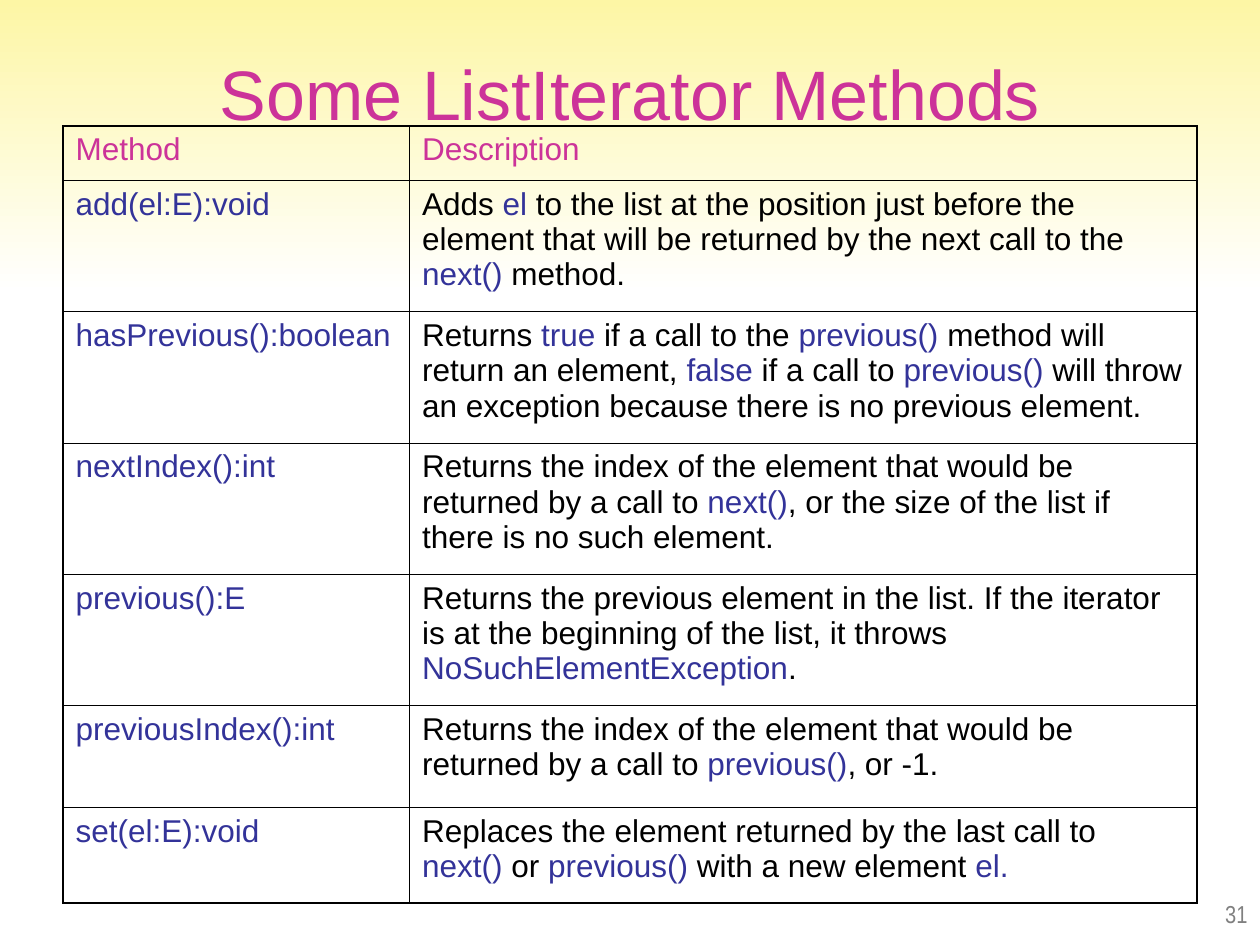
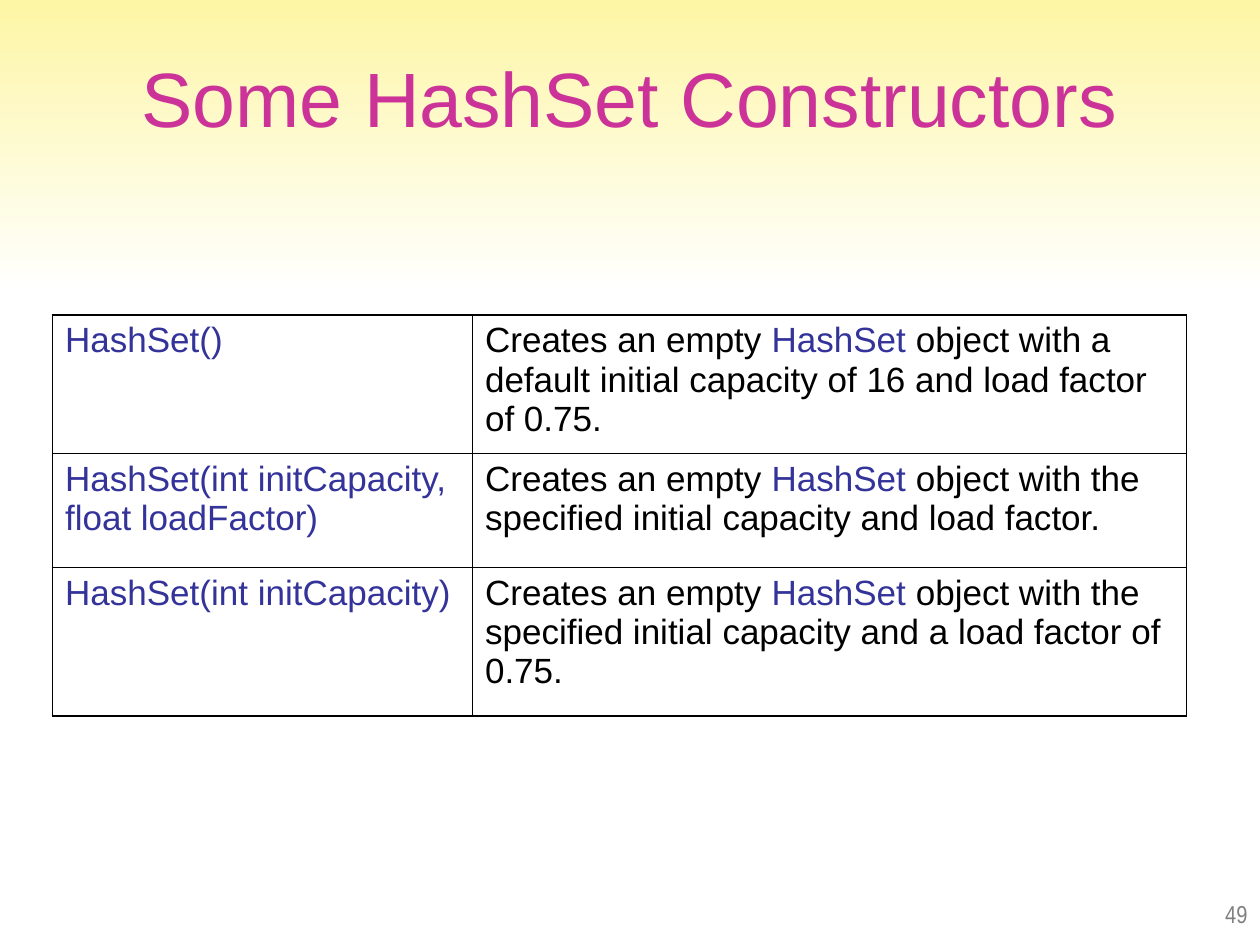
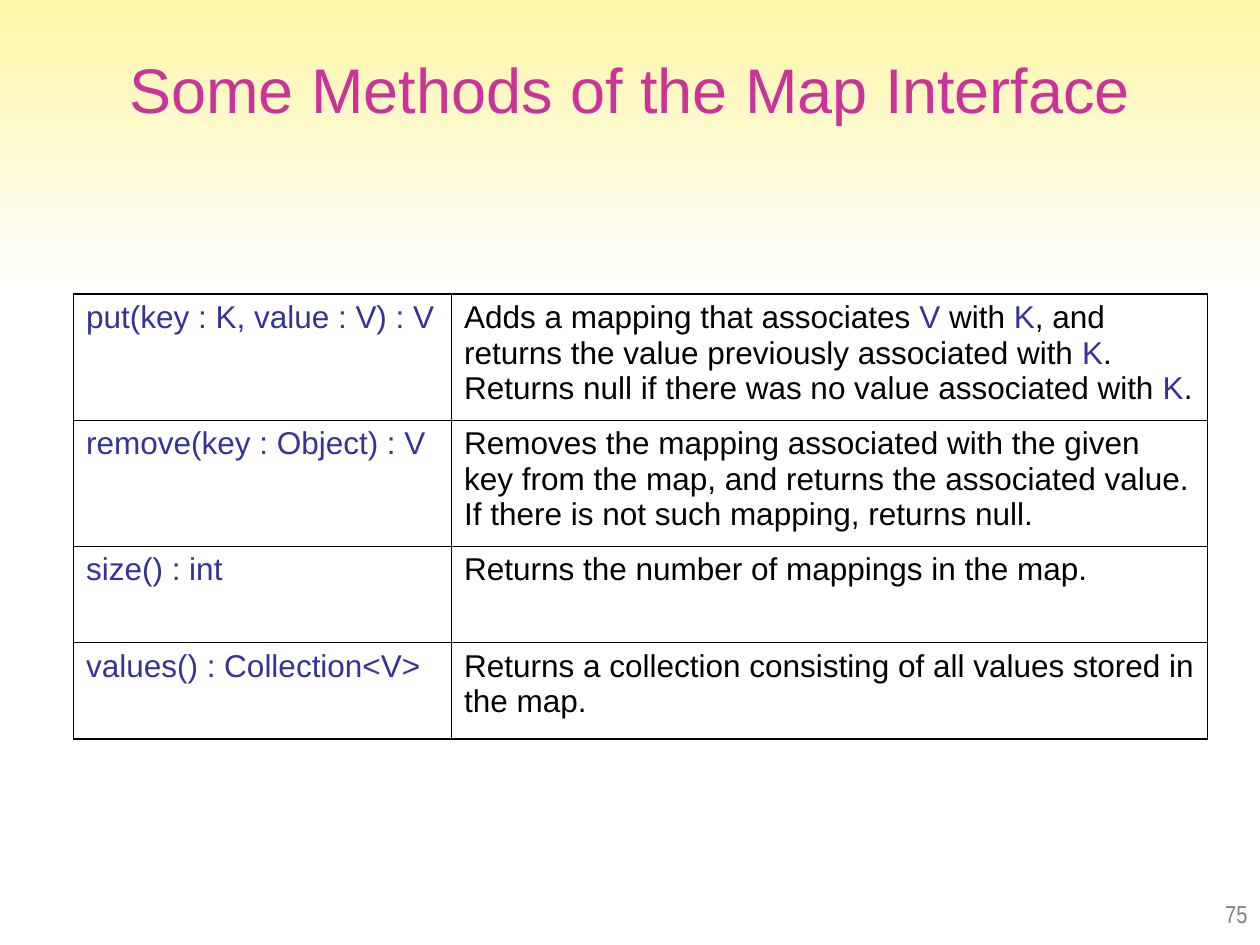
from dataclasses import dataclass

from lxml.etree import SubElement
from pptx import Presentation
from pptx.dml.color import RGBColor
from pptx.enum.shapes import MSO_SHAPE
from pptx.enum.text import MSO_ANCHOR, MSO_AUTO_SIZE, PP_ALIGN
from pptx.oxml.ns import qn
from pptx.util import Inches, Pt


@dataclass(frozen=True)
class Theme:
    heading: str = "CC3399"
    code: str = "333399"
    text: str = "000000"
    number: str = "808080"
    band_top: str = "FDF6A5"
    band_bottom: str = "FFFFFF"
    font: str = "Arial"
    number_font: str = "Arial Narrow"
    number_size: int = 14
    outer_line: float = 1.08
    inner_line: float = 0.45


@dataclass(frozen=True)
class Box:
    left: float
    top: float
    width: float
    height: float

    def lengths(self):
        return [cells(n) for n in (self.left, self.top, self.width, self.height)]


THEME = Theme()
SLIDE_WIDTH, SLIDE_HEIGHT = Inches(10), Inches(7.5)
GRID_COLUMNS, GRID_ROWS = 24, 18
TABLE_WIDTH = 21.6
BAND_BOX = Box(0, 0, GRID_COLUMNS, 5.6)
NUMBER_BOX = Box(19, 16.6, 5, 1.2)

LIST_ITERATOR_ROWS = [
    ("Method", "Description"),
    ("add(el:E):void",
     "Adds `el` to the list at the position just before the element that "
     "will be returned by the next call to the `next()` method."),
    ("hasPrevious():boolean",
     "Returns `true` if a call to the `previous()` method will return an "
     "element, `false` if a call to `previous()` will throw an exception "
     "because there is no previous element."),
    ("nextIndex():int",
     "Returns the index of the element that would be returned by a call to "
     "`next()`, or the size of the list if there is no such element."),
    ("previous():E",
     "Returns the previous element in the list. If the iterator is at the "
     "beginning of the list, it throws `NoSuchElementException`."),
    ("previousIndex():int",
     "Returns the index of the element that would be returned by a call to "
     "`previous()`, or -1."),
    ("set(el:E):void",
     "Replaces the element returned by the last call to `next()` or "
     "`previous()` with a new element` el.`"),
]

HASH_SET_ROWS = [
    ("HashSet()",
     "Creates an empty `HashSet` object with a default initial capacity of "
     "16 and load factor of 0.75."),
    ("HashSet(int initCapacity, float loadFactor)",
     "Creates an empty `HashSet` object with the specified initial capacity "
     "and load factor."),
    ("HashSet(int initCapacity)",
     "Creates an empty `HashSet` object with the specified initial capacity "
     "and a load factor of 0.75."),
]

MAP_ROWS = [
    ("put(key : K, value : V) : V",
     "Adds a mapping that associates `V` with `K`, and returns the value "
     "previously associated with `K`. Returns null if there was no value "
     "associated with `K`."),
    ("remove(key : Object) : V",
     "Removes the mapping associated with the given key from the map, and "
     "returns the associated value. If there is not such mapping, returns "
     "null."),
    ("size() : int", "Returns the number of mappings in the map."),
    ("values() : Collection<V>",
     "Returns a collection consisting of all values stored in the map."),
]


def cells(count):
    return round(SLIDE_WIDTH / GRID_COLUMNS * count)


def color(value):
    return RGBColor.from_string(value)


def style(para, size, value, font=THEME.font, align=PP_ALIGN.LEFT):
    para.alignment = align
    para.font.name = font
    para.font.size = Pt(size)
    para.font.color.rgb = color(value)


def move_band_to_master(page, box):
    band = page.shapes.add_shape(MSO_SHAPE.RECTANGLE, *box.lengths())
    band.shadow.inherit = False
    band.line.fill.background()
    band.fill.gradient()
    band.fill.gradient_angle = 270
    stops = band.fill.gradient_stops
    for stop, position, value in zip(stops, (0, 1), (THEME.band_top, THEME.band_bottom)):
        stop.position = position
        stop.color.rgb = color(value)
    page.slide_layout.slide_master.shapes.element.insert(2, band.element)


def fill_title(title, box, text, size):
    title.left, title.top, title.width, title.height = box.lengths()
    frame = title.text_frame
    frame.text = text
    frame.word_wrap = True
    frame.auto_size = MSO_AUTO_SIZE.NONE
    frame.vertical_anchor = MSO_ANCHOR.TOP
    frame.margin_top = Inches(0.1)
    style(frame.paragraphs[0], size, THEME.heading, align=PP_ALIGN.CENTER)


def add_number(page, box, number):
    frame = page.shapes.add_textbox(*box.lengths()).text_frame
    frame.word_wrap = True
    frame.vertical_anchor = MSO_ANCHOR.BOTTOM
    frame.text = str(number)
    style(frame.paragraphs[0], THEME.number_size, THEME.number,
          THEME.number_font, PP_ALIGN.RIGHT)


def write_marked(para, text):
    for index, part in enumerate(text.split("`")):
        if part:
            span = para.add_run()
            span.text = part
            if index % 2:
                span.font.color.rgb = color(THEME.code)


def set_borders(cell, outer_sides):
    properties = cell._tc.get_or_add_tcPr()
    for side in "LRTB":
        width = THEME.outer_line if side in outer_sides else THEME.inner_line
        line = SubElement(properties, qn(f"a:ln{side}"), w=str(Pt(width)))
        fill = SubElement(line, qn("a:solidFill"))
        SubElement(fill, qn("a:srgbClr"), val=THEME.text)


def add_method_table(page, box, rows, first_column, row_heights, size, has_header):
    table = page.shapes.add_table(len(rows), 2, *box.lengths()).table
    table.first_row = has_header
    table.horz_banding = False
    for column, width in zip(table.columns, (first_column, box.width - first_column)):
        column.width = cells(width)
    for row_index, (row, height) in enumerate(zip(rows, row_heights)):
        table.rows[row_index].height = cells(height)
        for column_index, text in enumerate(row):
            cell = table.cell(row_index, column_index)
            outer_sides = "LR"[column_index]
            outer_sides += "T" if row_index == 0 else ""
            outer_sides += "B" if row_index == len(rows) - 1 else ""
            set_borders(cell, outer_sides)
            cell.fill.background()
            para = cell.text_frame.paragraphs[0]
            write_marked(para, text)
            is_header = has_header and row_index == 0
            body = THEME.text if column_index else THEME.code
            style(para, size, THEME.heading if is_header else body)
            para.font.bold = False


def add_page(deck, number, title, title_size, title_height, left, top,
             rows, first_column, row_heights, text_size, has_header=False):
    page = deck.slides.add_slide(deck.slide_layouts[5])
    fill_title(page.shapes.title, Box(1.2, 0.72, TABLE_WIDTH, title_height),
               title, title_size)
    add_number(page, NUMBER_BOX, number)
    add_method_table(page, Box(left, top, TABLE_WIDTH, sum(row_heights)),
                     rows, first_column, row_heights, text_size, has_header)
    return page


def main():
    deck = Presentation()
    deck.slide_width, deck.slide_height = SLIDE_WIDTH, SLIDE_HEIGHT
    first_page = add_page(
        deck, 31, "Some ListIterator Methods", 40, 1.68, 1.2, 2.4,
        LIST_ITERATOR_ROWS, 6.6, [1.04] + [2.5] * 4 + [1.94, 1.83], 18,
        has_header=True)
    move_band_to_master(first_page, BAND_BOX)
    add_page(
        deck, 49, "Some HashSet Constructors", 44, 3, 1, 6,
        HASH_SET_ROWS, 8, [2.64, 2.16, 2.83], 20)
    add_page(
        deck, 75, "Some Methods of the Map Interface", 36, 2.08, 1.4, 5.6,
        MAP_ROWS, 7.2, [2.4] * 2 + [1.84] * 2, 18)
    deck.save("out.pptx")


if __name__ == "__main__":
    main()
